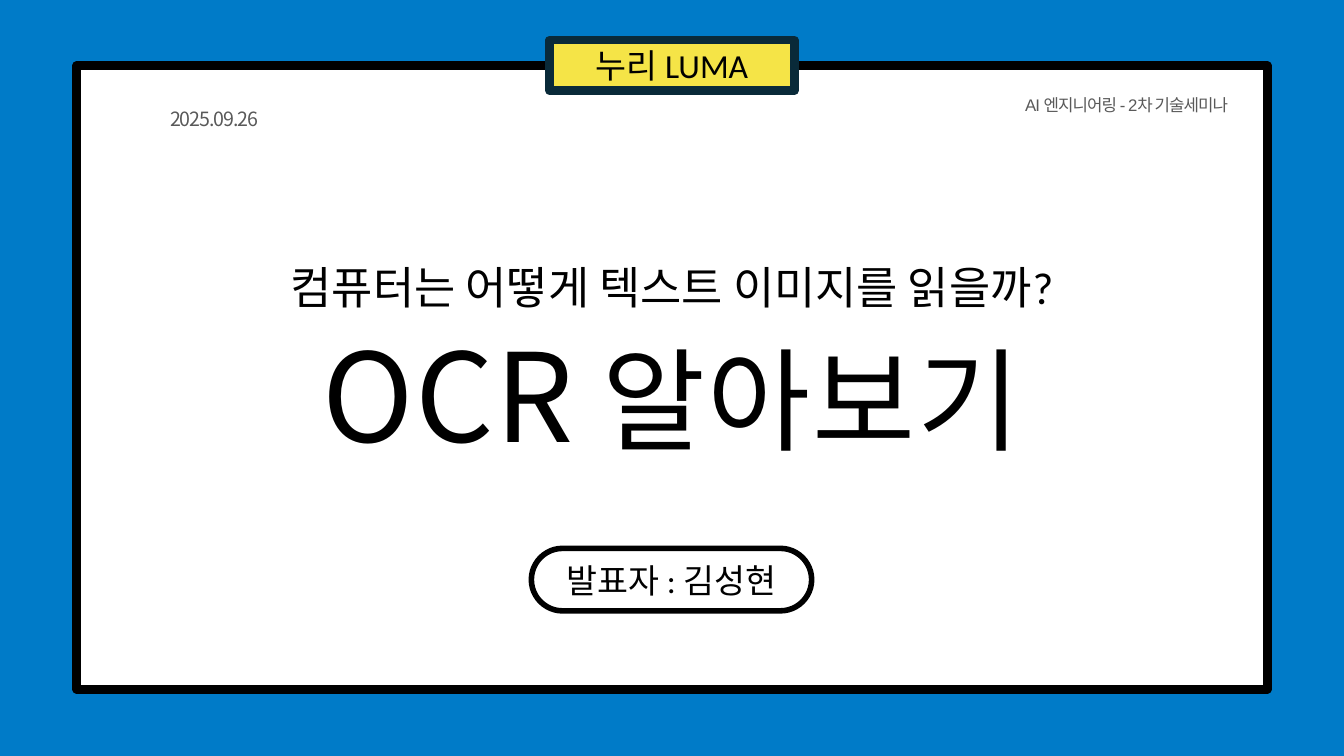
from dataclasses import dataclass

from pptx import Presentation
from pptx.dml.color import RGBColor
from pptx.enum.shapes import MSO_SHAPE as Preset
from pptx.enum.text import MSO_ANCHOR as Anchor, PP_ALIGN as Align
from pptx.util import Inches, Pt


@dataclass(frozen=True)
class Theme:
    backdrop: str = "007BC8"
    paper: str = "FFFFFF"
    ink: str = "000000"
    muted: str = "595959"
    badge: str = "F5E447"
    badge_border: str = "092A39"
    latin: str = "Noto Sans CJK KR"
    body: str = "Calibri"
    small: str = "Arial"
    title_latin_size: int = 88
    title_size: int = 80
    subtitle_size: int = 32
    label_size: int = 24
    date_size: int = 14
    event_size: int = 12


class CoverSlide:
    def __init__(self, presentation, theme):
        self.theme = theme
        self.slide = presentation.slides.add_slide(presentation.slide_layouts[6])
        fill = self.slide.background.fill
        fill.solid()
        fill.fore_color.rgb = RGBColor.from_string(theme.backdrop)

    def panel(self, box, fill, border, weight, preset=Preset.RECTANGLE):
        panel = self.slide.shapes.add_shape(preset, *map(Inches, box))
        panel.shadow.inherit = False
        panel.fill.solid()
        panel.fill.fore_color.rgb = RGBColor.from_string(fill)
        panel.line.color.rgb = RGBColor.from_string(border)
        panel.line.width = Pt(weight)
        return panel

    def label(self, panel, wording):
        theme = self.theme
        self.set_wording(
            panel.text_frame, [(wording, theme.body, theme.label_size, 0)], theme.ink
        )

    def text(self, box, parts, color, padding, align=Align.CENTER):
        frame = self.slide.shapes.add_textbox(*map(Inches, box)).text_frame
        frame.margin_left = frame.margin_right = 0
        frame.margin_top = frame.margin_bottom = Inches(padding)
        self.set_wording(frame, parts, color, align)

    def set_wording(self, frame, parts, color, align=Align.CENTER):
        frame.word_wrap = True
        frame.vertical_anchor = Anchor.MIDDLE
        paragraph = frame.paragraphs[0]
        paragraph.alignment = align
        paragraph.line_spacing = 1.0
        for wording, font, size, tracking in parts:
            run = paragraph.add_run()
            run.text = wording
            run.font.name = font
            run.font.size = Pt(size)
            run.font.color.rgb = RGBColor.from_string(color)
            if tracking:
                run._r.get_or_add_rPr().set("spc", str(round(tracking * 100)))


def main():
    presentation = Presentation()
    presentation.slide_width = Inches(13.33)
    presentation.slide_height = Inches(7.5)
    theme = Theme()
    cover = CoverSlide(presentation, theme)

    cover.panel((0.76, 0.65, 11.81, 6.19), theme.paper, theme.ink, 6)
    organizer = cover.panel((5.45, 0.4, 2.43, 0.5), theme.badge, theme.badge_border, 6)
    cover.label(organizer, "누리 LUMA")

    cover.text(
        (2.44, 3.26, 8.44, 1.29),
        [
            ("OCR", theme.latin, theme.title_latin_size, 1.3),
            (" 알아보기", theme.body, theme.title_size, 1.3),
        ],
        theme.ink,
        0.18,
    )
    cover.text(
        (2.83, 2.42, 7.67, 0.85),
        [("컴퓨터는 어떻게 텍스트 이미지를 읽을까?", theme.body, theme.subtitle_size, 0)],
        theme.ink,
        0.17,
    )

    presenter = cover.panel(
        (5.27, 5.44, 2.78, 0.62), theme.paper, theme.ink, 4, Preset.ROUNDED_RECTANGLE
    )
    presenter.adjustments[0] = 0.5
    cover.label(presenter, "발표자 : 김성현")

    cover.text(
        (9.75, 0.91, 2.43, 0.27),
        [("AI 엔지니어링 - 2차 기술세미나", theme.small, theme.event_size, -0.7)],
        theme.muted,
        0.03,
        Align.RIGHT,
    )
    cover.text(
        (1.64, 1.1, 0.97, 0.16),
        [("2025.09.26", theme.latin, theme.date_size, -0.8)],
        theme.muted,
        0.04,
    )
    presentation.save("out.pptx")


if __name__ == "__main__":
    main()
